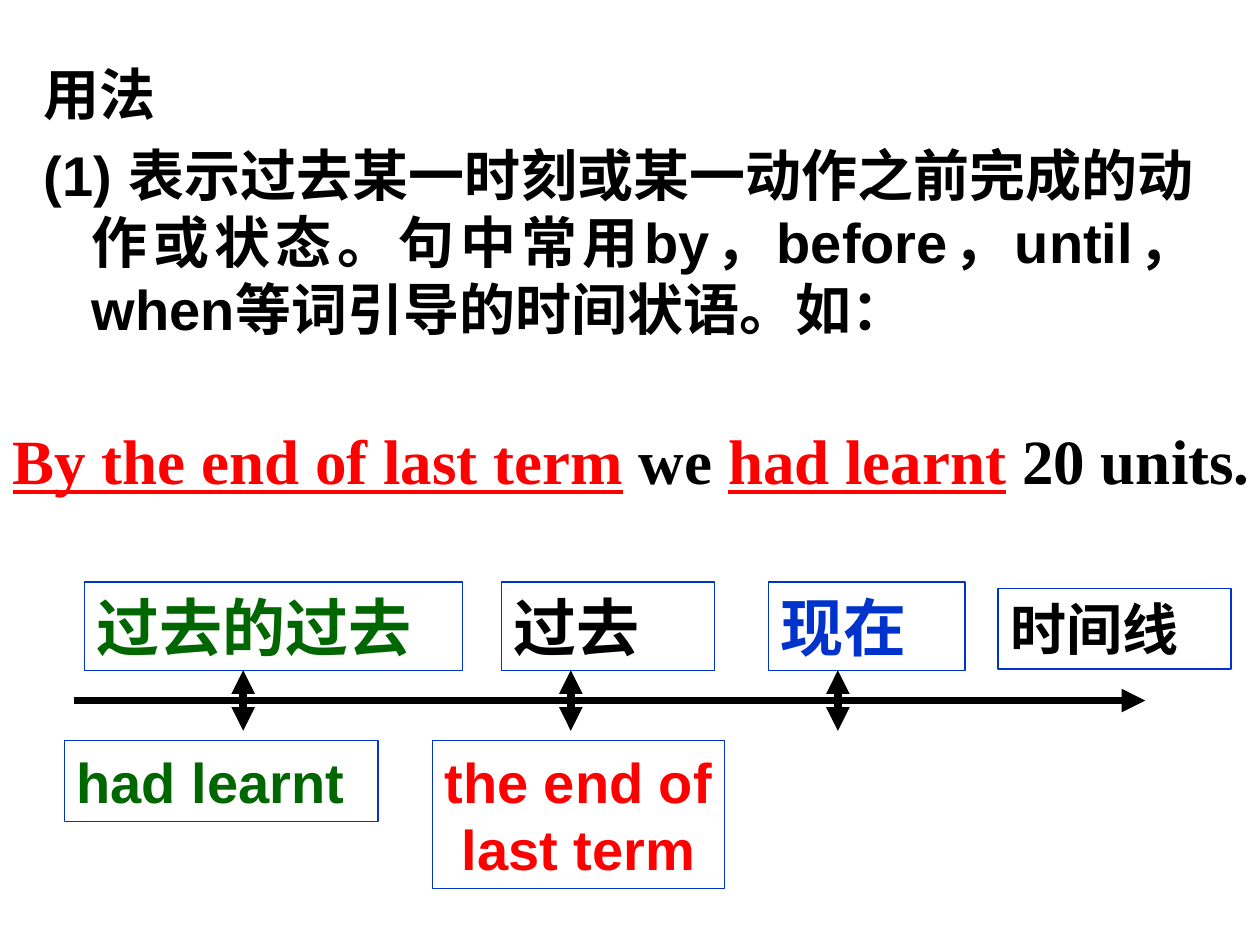
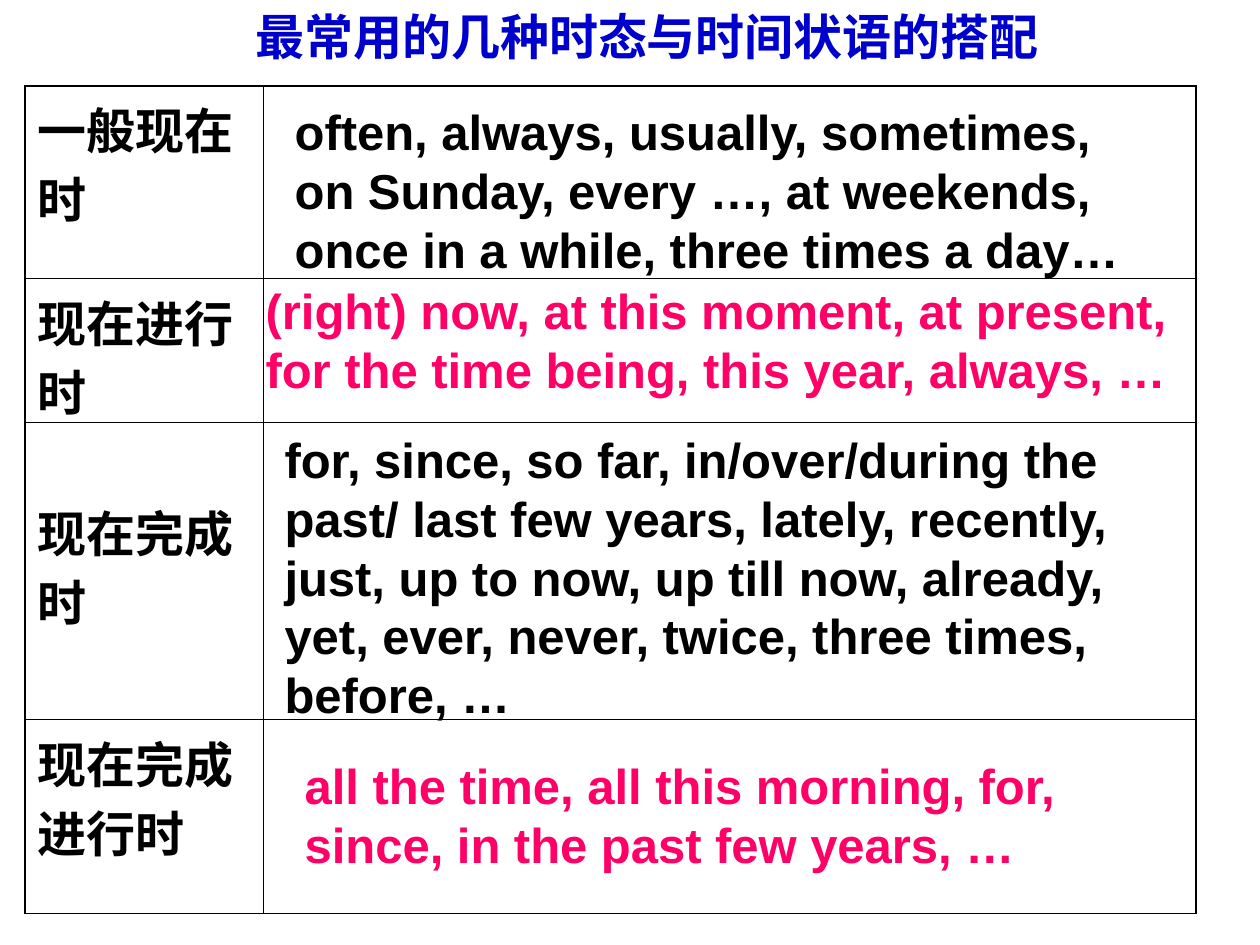
import pptx
import pptx.util
import pptx.dml.color
import pptx.enum.shapes
import pptx.enum.text
import pptx.oxml
import pptx.oxml.ns
from lxml import etree
from dataclasses import dataclass

Inches = pptx.util.Inches
Pt = pptx.util.Pt
ALIGN = pptx.enum.text.PP_ALIGN


@dataclass(frozen=True)
class Theme:
    font: str = "Arial"
    serif: str = "Times New Roman"
    black: str = "000000"
    red: str = "FF0000"
    green: str = "006600"
    blue: str = "0033CC"
    navy: str = "0000CC"
    pink: str = "FF0066"
    big: int = 36
    mid: int = 32
    small: int = 28
    lead: float = 1.2
    wide: float = 1.41
    thick: float = 1.08
    thin: float = 0.45


T = Theme()


def rgb(hue):
    return pptx.dml.color.RGBColor.from_string(hue)


def child(node, tag, **attrs):
    return etree.SubElement(node, pptx.oxml.ns.qn(tag), attrs)


def add_run(para, text, size, hue=T.black, face=T.font, under=False):
    run = para.add_run()
    run.text = text
    font = run.font
    font.name, font.size, font.bold = face, Pt(size), True
    font.color.rgb = rgb(hue)
    if under:
        font.underline = True
    child(font._element, "a:ea", typeface=face)


def fill_text(frame, lines, size, hue=T.black, align=None, gap=0, lead=T.lead):
    """Each line is a string, or a list of (text, hue, face, under) runs."""
    for i, line in enumerate(lines):
        para = frame.add_paragraph() if i else frame.paragraphs[0]
        para.line_spacing = Pt(size * lead)
        para.alignment = align
        if i and gap:
            para.space_before = Pt(gap)
        for part in [(line, hue)] if isinstance(line, str) else line:
            add_run(para, part[0], size, *part[1:])


def add_text(slide, box, lines, size, hue=T.black, pad=0.1, edge=None, **style):
    area = slide.shapes.add_textbox(*map(Inches, box))
    frame = area.text_frame
    frame.word_wrap = True
    frame.margin_left = frame.margin_right = Inches(pad)
    if edge:
        area.line.color.rgb = rgb(edge)
        area.line.width = Pt(0.75)
    fill_text(frame, lines, size, hue, **style)
    return area


def add_arrow(slide, start, end, both=False):
    line = slide.shapes.add_connector(
        pptx.enum.shapes.MSO_CONNECTOR.STRAIGHT, *map(Inches, start + end))
    line.line.color.rgb = rgb(T.black)
    line.line.width = Pt(4.5)
    stroke = line.line._get_or_add_ln()
    if both:
        child(stroke, "a:headEnd", type="triangle")
    child(stroke, "a:tailEnd", type="triangle")
    child(line._element.spPr, "a:effectLst")


# Slide 1: usage rule, sample sentence, time line

def add_rule(slide, box):
    area = add_text(slide, box, [
        "用法",
        "(1) 表示过去某一时刻或某一动作之前完成的动作或状态。"
        "句中常用by，before，until，when等词引导的时间状语。如：",
    ], T.mid, align=ALIGN.JUSTIFY, gap=8)
    for para in area.text_frame.paragraphs:
        props = para._p.get_or_add_pPr()
        props.set("marL", str(Inches(0.38)))
        props.set("indent", str(-Inches(0.38)))


def add_sample(slide, box):
    add_text(slide, box, [[
        ("By the end of last term", T.red, T.serif, True),
        (" we ", T.black, T.serif),
        ("had learnt", T.red, T.serif, True),
        (" 20 units.", T.black, T.serif),
    ]], T.big, pad=0)


def add_axis(slide, box):
    left, top = box[:2]
    axis = top + 0.94
    # Axis and its ticks
    add_arrow(slide, (left + 0.08, axis), (left + 8.58, axis))
    for tick in (1.42, 4.02, 6.14):
        add_arrow(slide, (left + tick, axis - 0.24),
                  (left + tick, axis + 0.24), both=True)
    # Labels above and below
    labels = [
        (0.16, 0, 3, 0.7, ["过去的过去"], T.big, T.green),
        (3.47, 0, 1.69, 0.7, ["过去"], T.big, T.black),
        (5.59, 0, 1.56, 0.7, ["现在"], T.big, T.blue),
        (7.41, 0.05, 1.85, 0.64, ["时间线"], T.mid, T.black),
        (0, 1.26, 2.49, 0.64, ["had learnt"], T.mid, T.green),
    ]
    for x, y, w, h, lines, size, hue in labels:
        add_text(slide, (left + x, top + y, w, h), lines, size, hue, edge=T.blue)
    add_text(slide, (left + 2.92, top + 1.26, 2.32, 1.17),
             ["the end of", "last term"], T.mid, T.red, pad=0,
             edge=T.blue, align=ALIGN.CENTER)


def usage_slide(deck):
    slide = deck.slides.add_slide(deck.slide_layouts[6])
    add_rule(slide, (0.25, 0.42, 9.33, 2.5))
    add_sample(slide, (0.1, 3.3, 9.9, 0.7))
    add_axis(slide, (0.51, 4.62, 9.26, 2.43))


# Slide 2: tenses and their time adverbials

ROWS = [1.53, 1.14, 2.36, 1.54]
COLS = [1.89, 7.4]
TENSES = ["一般现在时", "现在进行时", "现在完成时", "现在完成进行时"]


def set_edges(cell, row, col):
    props = cell._tc.get_or_add_tcPr()
    outer = {"L": col == 0, "R": col == len(COLS) - 1,
             "T": row == 0, "B": row == len(ROWS) - 1}
    for i, (side, out) in enumerate(outer.items()):
        edge = pptx.oxml.parse_xml(
            f'<a:ln{side} {pptx.oxml.ns.nsdecls("a")} '
            f'w="{Pt(T.thick if out else T.thin)}"><a:solidFill>'
            f'<a:srgbClr val="{T.black}"/></a:solidFill></a:ln{side}>')
        props.insert(i, edge)


def add_grid(slide, box):
    grid = slide.shapes.add_table(
        len(ROWS), len(COLS), *map(Inches, box)).table
    grid.first_row = grid.horz_banding = False
    for col, width in enumerate(COLS):
        grid.columns[col].width = Inches(width)
    for row, height in enumerate(ROWS):
        grid.rows[row].height = Inches(height)
        for col in range(len(COLS)):
            cell = grid.cell(row, col)
            cell.fill.background()
            set_edges(cell, row, col)
        head = grid.cell(row, 0)
        head.margin_top = Inches(0.57 if row == 2 else 0.04)
        head.margin_bottom = 0
        fill_text(head.text_frame, [TENSES[row]], T.small, lead=T.wide)


def add_words(slide, box):
    left, top = box[:2]
    words = [
        (2.04, 0.08, 7.09, 1.5, T.black,
         "often, always, usually, sometimes, on Sunday, every …, "
         "at weekends, once in a while, three times a day…"),
        (1.81, 1.5, 7.8, 1.04, T.pink,
         "(right) now, at this moment, at present, "
         "for the time being, this year, always, …"),
        (1.96, 2.68, 7.32, 2.44, T.black,
         "for, since, so far, in/over/during the past/ last few years, "
         "lately, recently, just, up to now, up till now, already, yet, "
         "ever, never, twice, three times, before, …"),
        (2.12, 5.27, 6.77, 1.04, T.pink,
         "all the time, all this morning, for, since, "
         "in the past few years, …"),
    ]
    for x, y, w, h, hue, text in words:
        add_text(slide, (left + x, top + y, w, h), [text], T.small, hue)


def tense_slide(deck):
    slide = deck.slides.add_slide(deck.slide_layouts[6])
    add_text(slide, (1.93, 0, 7.09, 0.57),
             ["最常用的几种时态与时间状语的搭配"], T.small, T.navy)
    box = (0.2, 0.68, sum(COLS), sum(ROWS))
    add_grid(slide, box)
    add_words(slide, box)


def main():
    deck = pptx.Presentation()
    deck.slide_width, deck.slide_height = Inches(10), Inches(7.5)
    usage_slide(deck)
    tense_slide(deck)
    deck.save("out.pptx")


if __name__ == "__main__":
    main()
